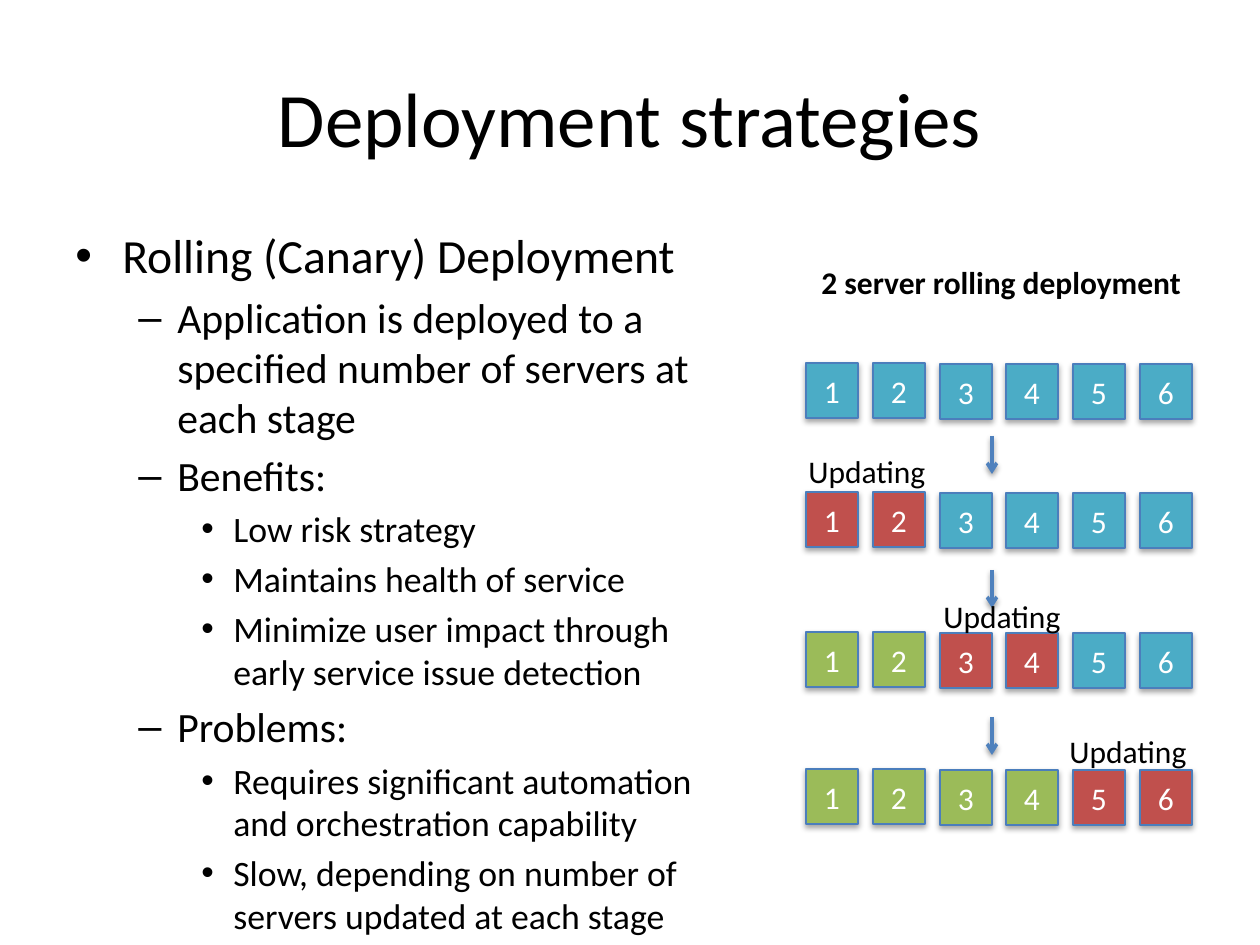
import pptx
import pptx.dml.color
import pptx.enum.shapes
import pptx.enum.text
import pptx.oxml
import pptx.oxml.ns
import pptx.util

PX = 914400 / 126
FONT = "Calibri"
BLACK, WHITE = "000000", "FFFFFF"
BLUE, RED, GREEN = "4BACC6", "C0504D", "9BBB59"
BOX_LINE, ARROW_LINE = "4B7EBC", "4F81BD"
ALIGN = pptx.enum.text.PP_ALIGN
ANCHOR = pptx.enum.text.MSO_ANCHOR

# Outline levels: size in points, left margin and hanging indent in px, bullet
LEVELS = [(27.2, 47, 47, "•"), (23.8, 102, 39, "–"), (20.4, 158, 32, "•")]
OUTLINE = [
    (0, "Rolling (Canary) Deployment"),
    (1, "Application is deployed to a specified number of servers at each stage"),
    (1, "Benefits:"),
    (2, "Low risk strategy"),
    (2, "Maintains health of service"),
    (2, "Minimize user impact through early service issue detection"),
    (1, "Problems:"),
    (2, "Requires significant automation and orchestration capability"),
    (2, "Slow, depending on number of servers updated at each stage"),
]

# Server rows: top and number of the first server being updated
STAGES = [(363, None), (492, 1), (632, 3), (769, 5)]
SERVERS, BATCH = 6, 2
SERVER_LEFT, SERVER_PITCH = 806, 66.8
ARROW_TOPS = [436, 570, 717]
UPDATING_AT = [(796, 446), (931, 591), (1057, 726)]


def px(value):
    return pptx.util.Emu(round(value * PX))


def color(value):
    return pptx.dml.color.RGBColor.from_string(value)


def child(parent, tag, **values):
    """Append an XML element with the given attributes."""
    element = pptx.oxml.parse_xml(f"<{tag} {pptx.oxml.ns.nsdecls('a')}/>")
    for name, value in values.items():
        element.set(name, str(value))
    parent.append(element)
    return element


def add_shadow(properties, alpha, distance):
    """Append a soft shadow that falls straight down."""
    effects = child(properties, "a:effectLst")
    shadow = child(effects, "a:outerShdw", blurRad=40000, dist=distance,
                   dir=5400000, rotWithShape=0)
    black = child(shadow, "a:srgbClr", val=BLACK)
    child(black, "a:alpha", val=alpha * 1000)


def write(para, text, size, ink=BLACK, bold=False):
    span = para.add_run()
    span.text = text
    span.font.color.rgb = color(ink)
    styles = {"name": FONT, "size": pptx.util.Pt(size), "bold": bold}
    for name, value in styles.items():
        setattr(span.font, name, value)


def add_text_box(page, left, top, width, height, **frame_values):
    box = page.shapes.add_textbox(px(left), px(top), px(width), px(height))
    for name, value in frame_values.items():
        setattr(box.text_frame, name, value)
    return box.text_frame


def add_title(page, text):
    frame = add_text_box(page, 63, 38, 1134, 158, word_wrap=True,
                         vertical_anchor=ANCHOR.MIDDLE)
    para = frame.paragraphs[0]
    para.alignment = ALIGN.CENTER
    write(para, text, 44)


def add_outline(page):
    frame = add_text_box(page, 63, 220, 696, 663, word_wrap=True)
    for number, (level, text) in enumerate(OUTLINE):
        para = frame.add_paragraph() if number else frame.paragraphs[0]
        size, margin, hanging, bullet = LEVELS[level]
        para.level = level
        para.space_before = pptx.util.Pt(size * 0.2)
        properties = para._p.get_or_add_pPr()
        properties.set("marL", str(px(margin)))
        properties.set("indent", str(px(-hanging)))
        child(properties, "a:buFont", typeface="Arial")
        child(properties, "a:buChar", char=bullet)
        write(para, text, size)


def add_label(page, left, top, width, text, bold=False):
    frame = add_text_box(page, left, top, width, 50, word_wrap=False,
                         auto_size=pptx.enum.text.MSO_AUTO_SIZE.SHAPE_TO_FIT_TEXT)
    write(frame.paragraphs[0], text, 18, bold=bold)


def add_server(page, number, top, fill):
    left = SERVER_LEFT + round((number - 1) * SERVER_PITCH)
    box = page.shapes.add_shape(pptx.enum.shapes.MSO_SHAPE.RECTANGLE,
                                px(left), px(top), px(52), px(55))
    box.fill.solid()
    box.fill.fore_color.rgb = color(fill)
    box.line.color.rgb = color(BOX_LINE)
    box.line.width = pptx.util.Pt(0.75)
    add_shadow(box._element.spPr, 35, 23000)
    box.text_frame.vertical_anchor = ANCHOR.MIDDLE
    para = box.text_frame.paragraphs[0]
    para.alignment = ALIGN.CENTER
    write(para, str(number), 18, WHITE)


def add_stage(page, top, updating):
    for number in range(1, SERVERS + 1):
        if updating is None or number >= updating + BATCH:
            fill = BLUE
        else:
            fill = RED if number >= updating else GREEN
        # The first pair sits one px higher than the rest
        add_server(page, number, top + (number > BATCH), fill)


def add_arrow(page, top):
    arrow = page.shapes.add_connector(pptx.enum.shapes.MSO_CONNECTOR.STRAIGHT,
                                      px(992), px(top), px(992), px(top + 38))
    arrow.line.color.rgb = color(ARROW_LINE)
    arrow.line.width = pptx.util.Pt(2)
    child(arrow.line._get_or_add_ln(), "a:tailEnd", type="arrow")
    add_shadow(arrow._element.spPr, 38, 20000)


def main():
    deck = pptx.Presentation()
    deck.slide_width, deck.slide_height = px(1260), px(945)
    page = deck.slides.add_slide(deck.slide_layouts[6])

    # Text side
    add_title(page, "Deployment strategies")
    add_outline(page)

    # Rolling deployment diagram
    for top, updating in STAGES:
        add_stage(page, top, updating)
    add_label(page, 809, 257, 389, "2 server rolling deployment", bold=True)
    for top in ARROW_TOPS:
        add_arrow(page, top)
    for left, top in UPDATING_AT:
        add_label(page, left, top, 144, "Updating")

    deck.save("out.pptx")


if __name__ == "__main__":
    main()
